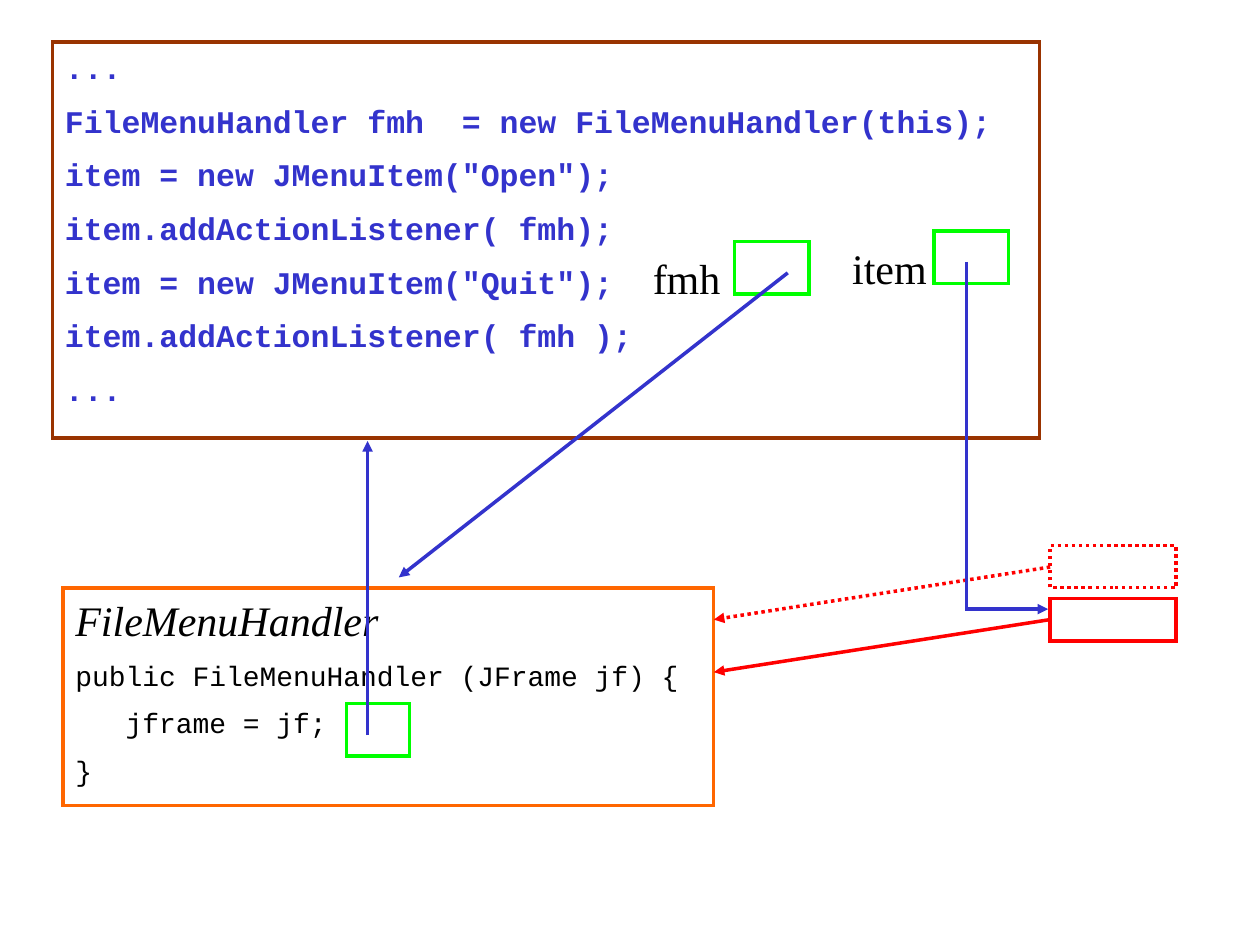
import pptx
import pptx.util
import pptx.dml.color
import pptx.enum.dml
import pptx.enum.shapes
import pptx.enum.text
import pptx.oxml
import pptx.oxml.ns

Cm = pptx.util.Cm
Pt = pptx.util.Pt

BLUE = "3333CC"
RED = "FF0000"
GREEN = "00FF00"
BROWN = "993300"
ORANGE = "FF6600"
CODE_FONT = "Courier New"
LABEL_FONT = "Times New Roman"

SETUP_CODE = [
    "...",
    "FileMenuHandler fmh  = new FileMenuHandler(this);",
    'item = new JMenuItem("Open");',
    "item.addActionListener( fmh);",
    'item = new JMenuItem("Quit");',
    "item.addActionListener( fmh );",
    "...",
]
CONSTRUCTOR_CODE = ["public FileMenuHandler (JFrame jf) {", "   jframe = jf;", "}"]


def color(value):
    return pptx.dml.color.RGBColor.from_string(value)


def append_xml(parent, tag, attributes=""):
    namespace = pptx.oxml.ns.nsdecls("a")
    parent.append(pptx.oxml.parse_xml(f"<a:{tag} {namespace} {attributes}/>"))


def style_line(line, stroke, dotted):
    line.color.rgb = color(stroke)
    line.width = Pt(2)
    if dotted:
        line.dash_style = pptx.enum.dml.MSO_LINE.ROUND_DOT
    append_xml(line._get_or_add_ln(), "miter", 'lim="800000"')


def add_frame(shapes, left, top, width, height, stroke, dotted=False):
    frame = shapes.add_shape(
        pptx.enum.shapes.MSO_SHAPE.RECTANGLE, Cm(left), Cm(top), Cm(width), Cm(height)
    )
    frame.shadow.inherit = False
    frame.fill.background()
    style_line(frame.line, stroke, dotted)
    frame.text_frame.word_wrap = True
    frame.text_frame.vertical_anchor = pptx.enum.text.MSO_ANCHOR.TOP
    return frame


def write(text_frame, text, font=CODE_FONT, size=18, ink="000000",
          bold=False, italic=False, before=0):
    paragraph = text_frame.paragraphs[0]
    if paragraph.runs:
        paragraph = text_frame.add_paragraph()
        paragraph.space_before = Pt(before)
    paragraph.alignment = pptx.enum.text.PP_ALIGN.LEFT
    run = paragraph.add_run()
    run.text = text
    run.font.name = font
    run.font.size = Pt(size)
    run.font.color.rgb = color(ink)
    run.font.bold = bold
    run.font.italic = italic


def add_variable(shapes, name, left, top, width):
    variable = shapes.add_group_shape().shapes
    label = variable.add_textbox(Cm(left), Cm(top), Cm(width), Cm(1.27))
    label.text_frame.word_wrap = False
    label.text_frame.margin_right = 0
    write(label.text_frame, name, font=LABEL_FONT, size=24)
    add_frame(variable, left + 1.9, top - 0.1, 1.5, 1.06, GREEN)


def add_arrow(shapes, start, end, stroke, dotted=False,
              kind=pptx.enum.shapes.MSO_CONNECTOR.STRAIGHT):
    arrow = shapes.add_connector(kind, *[Cm(value) for value in (*start, *end)])
    style_line(arrow.line, stroke, dotted)
    append_xml(arrow.line._get_or_add_ln(), "tailEnd", 'type="triangle"')
    append_xml(arrow._element.spPr, "effectLst")
    return arrow


def add_down_right_arrow(shapes, start, end, stroke):
    middle_x = (start[0] + end[0]) / 2
    middle_y = (start[1] + end[1]) / 2
    half_drop = (end[1] - start[1]) / 2
    half_run = (end[0] - start[0]) / 2
    arrow = add_arrow(
        shapes,
        (middle_x + half_drop, middle_y - half_run),
        (middle_x - half_drop, middle_y + half_run),
        stroke,
        kind=pptx.enum.shapes.MSO_CONNECTOR.ELBOW,
    )
    properties = arrow._element.spPr
    properties.find(pptx.oxml.ns.qn("a:xfrm")).set("rot", str(270 * 60000))
    properties.find(pptx.oxml.ns.qn("a:prstGeom")).set("prst", "bentConnector2")


def main():
    deck = pptx.Presentation()
    deck.slide_width = Cm(25.4)
    deck.slide_height = Cm(19.05)
    shapes = deck.slides.add_slide(deck.slide_layouts[6]).shapes

    setup = add_frame(shapes, 1.06, 0.85, 19.9, 7.98, BROWN)
    for code in SETUP_CODE:
        write(setup.text_frame, code, ink=BLUE, bold=True, before=9)

    add_variable(shapes, "item", 16.93, 4.76, 2)
    add_frame(shapes, 21.17, 11, 2.54, 0.85, RED, dotted=True)

    handler = add_frame(shapes, 1.27, 11.85, 13.12, 4.39, ORANGE)
    write(handler.text_frame, "FileMenuHandler", font=LABEL_FONT, size=24, italic=True)
    for code in CONSTRUCTOR_CODE:
        write(handler.text_frame, code, size=16, before=8)

    add_variable(shapes, "fmh", 12.91, 4.97, 1.88)
    add_arrow(shapes, (15.88, 5.5), (8.04, 11.64), BLUE)
    add_frame(shapes, 6.99, 14.18, 1.27, 1.06, GREEN)
    add_arrow(shapes, (7.41, 14.82), (7.41, 8.89), BLUE)
    add_arrow(shapes, (21.17, 11.43), (14.39, 12.49), RED, dotted=True)
    add_frame(shapes, 21.17, 12.07, 2.54, 0.85, RED)
    add_arrow(shapes, (21.17, 12.49), (14.39, 13.55), RED)
    add_down_right_arrow(shapes, (19.48, 5.28), (21.13, 12.28), BLUE)

    deck.save("out.pptx")


if __name__ == "__main__":
    main()
